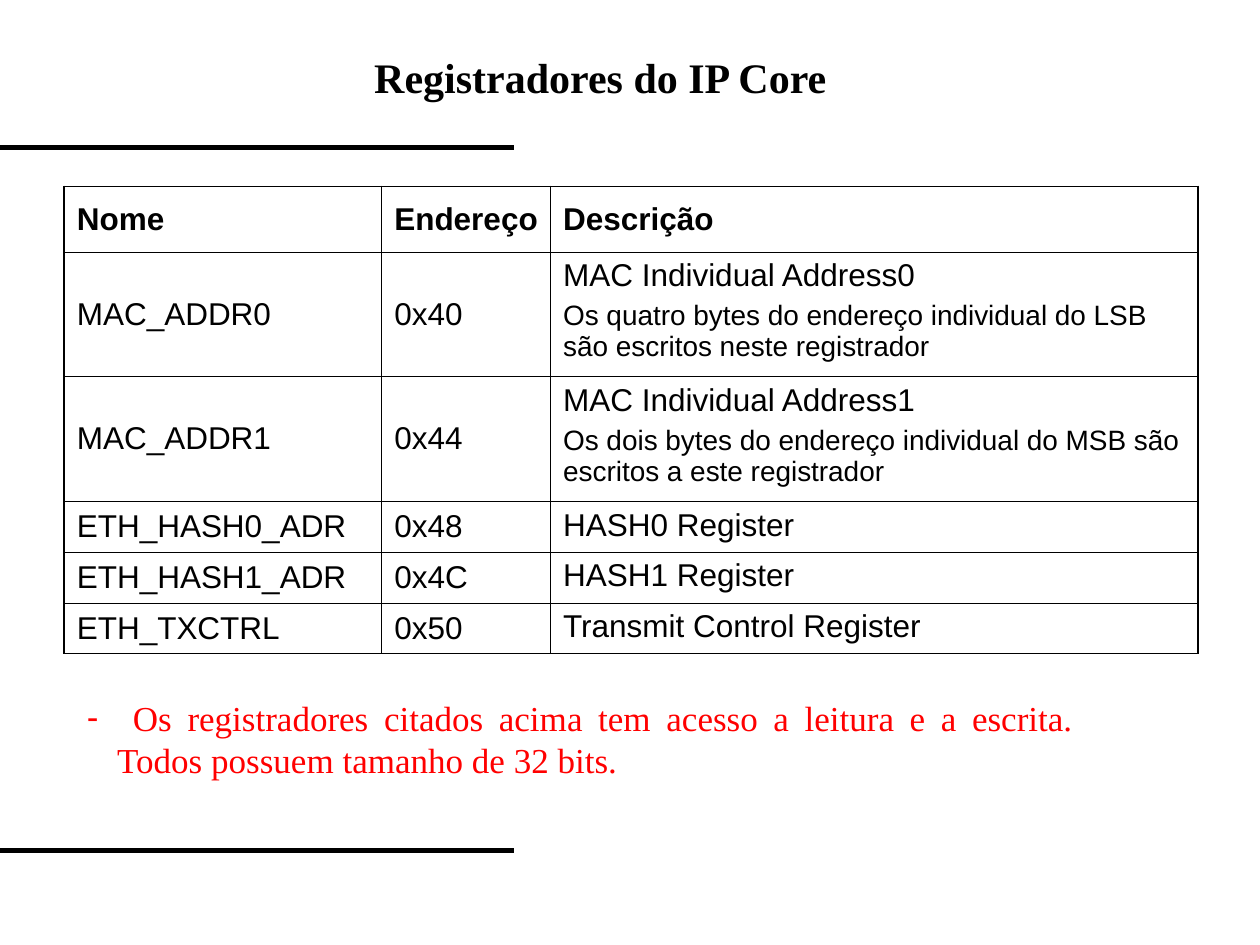
from dataclasses import dataclass

from lxml import etree
from pptx import Presentation
from pptx.dml.color import RGBColor
from pptx.enum.shapes import MSO_CONNECTOR
from pptx.enum.text import MSO_ANCHOR, MSO_AUTO_SIZE, PP_ALIGN
from pptx.oxml.ns import qn
from pptx.util import Inches, Pt

STRAIGHT = MSO_CONNECTOR.STRAIGHT
TOP, MIDDLE = MSO_ANCHOR.TOP, MSO_ANCHOR.MIDDLE
NO_AUTOFIT = MSO_AUTO_SIZE.NONE
LEFT, JUSTIFY = PP_ALIGN.LEFT, PP_ALIGN.JUSTIFY

# Grid of 100 columns by 75 rows
COLS, ROWS = 100, 75
SLIDE_W, SLIDE_H = Inches(10), Inches(7.5)


@dataclass(frozen=True)
class Theme:
    ink: str = "000000"
    accent: str = "FF0000"
    serif: str = "Times New Roman"
    sans: str = "Arial"
    title: float = 24
    note: float = 20
    cell: float = 18
    detail: float = 16
    rule: float = 3
    outer: float = 1.08
    inner: float = 0.45


THEME = Theme()

HEADER = ("Nome", "Endereço", "Descrição")
REGISTERS = [
    ("MAC_ADDR0", "0x40", "MAC Individual Address0",
     "Os quatro bytes do endereço individual do LSB são escritos neste registrador"),
    ("MAC_ADDR1", "0x44", "MAC Individual Address1",
     "Os dois bytes do endereço individual do MSB são escritos a este registrador"),
    ("ETH_HASH0_ADR", "0x48", "HASH0 Register"),
    ("ETH_HASH1_ADR", "0x4C", "HASH1 Register"),
    ("ETH_TXCTRL", "0x50", "Transmit Control Register"),
]
NOTE = (" Os registradores citados acima tem acesso a leitura e a escrita. "
        "Todos possuem tamanho de 32 bits.")


def gx(cols):
    return round(SLIDE_W * cols / COLS)


def gy(rows):
    return round(SLIDE_H * rows / ROWS)


def add_run(p, text, size, font, color, bold=False):
    r = p.add_run()
    r.text = text
    r.font.size, r.font.name, r.font.bold = Pt(size), font, bold
    r.font.color.rgb = RGBColor.from_string(color)


def place_placeholder(sp, box, align):
    """Move a placeholder to its box and return its first paragraph."""
    x, y, w, h = box
    sp.left, sp.top, sp.width, sp.height = gx(x), gy(y), gx(w), gy(h)
    tf = sp.text_frame
    tf.word_wrap, tf.auto_size, tf.vertical_anchor = True, NO_AUTOFIT, TOP
    p = tf.paragraphs[0]
    p.alignment, p.space_before = align, Pt(0)
    return p


def add_rule(slide, x, y, w):
    line = slide.shapes.add_connector(STRAIGHT, gx(x), gy(y), gx(x + w), gy(y))
    line.line.color.rgb = RGBColor.from_string(THEME.ink)
    line.line.width = Pt(THEME.rule)
    etree.SubElement(line._element.spPr, qn("a:effectLst"))


def add_title(slide, box):
    p = place_placeholder(slide.shapes.title, box, LEFT)
    add_run(p, "Registradores do IP Core", THEME.title, THEME.serif, THEME.ink, True)


def add_note(slide, box):
    p = place_placeholder(slide.placeholders[1], box, JUSTIFY)
    # Red dash with a hanging indent
    pPr = p._p.get_or_add_pPr()
    indent = gx(2.4)
    pPr.set("marL", str(indent))
    pPr.set("indent", str(-indent))
    color = etree.SubElement(pPr, qn("a:buClr"))
    etree.SubElement(color, qn("a:srgbClr"), val=THEME.accent)
    etree.SubElement(pPr, qn("a:buChar"), char="-")
    add_run(p, NOTE, THEME.note, THEME.serif, THEME.accent)


def set_borders(cell, outer_sides):
    tcPr = cell._tc.get_or_add_tcPr()
    for side in "LRTB":
        width = THEME.outer if side in outer_sides else THEME.inner
        ln = etree.SubElement(tcPr, qn("a:ln" + side), w=str(Pt(width)))
        fill = etree.SubElement(ln, qn("a:solidFill"))
        etree.SubElement(fill, qn("a:srgbClr"), val=THEME.ink)


def fill_cell(cell, lines, bold, anchor):
    cell.fill.background()
    cell.vertical_anchor = anchor
    tf = cell.text_frame
    for i, text in enumerate(lines):
        p = tf.add_paragraph() if i else tf.paragraphs[0]
        if i:
            p.space_before = Pt(4)
        add_run(p, text, THEME.detail if i else THEME.cell, THEME.sans, THEME.ink, bold)


def add_register_table(slide, box, widths, heights):
    x, y, w, h = box
    rows = [HEADER] + REGISTERS
    last_row, last_col = len(rows) - 1, len(widths) - 1
    table = slide.shapes.add_table(len(rows), len(widths),
                                   gx(x), gy(y), gx(w), gy(h)).table
    table.first_row = table.horz_banding = False
    for col, width in zip(table.columns, widths):
        col.width = gx(width)
    for i, (name, address, *description) in enumerate(rows):
        table.rows[i].height = gy(heights[i])
        for j, lines in enumerate(([name], [address], description)):
            cell = table.cell(i, j)
            edges = {"T": i == 0, "B": i == last_row, "L": j == 0, "R": j == last_col}
            set_borders(cell, [side for side, outer in edges.items() if outer])
            anchor = TOP if i and j == last_col else MIDDLE
            fill_cell(cell, lines, i == 0, anchor)


def main():
    prs = Presentation()
    prs.slide_width, prs.slide_height = SLIDE_W, SLIDE_H
    slide = prs.slides.add_slide(prs.slide_layouts[1])

    # Rules above and below the content
    for y in (11.7, 67.5):
        add_rule(slide, 0, y, 40.8)

    add_title(slide, (28.7, 3.6, 42.5, 5))
    add_register_table(slide, (5.1, 14.8, 90, 37.1), (25.2, 13.4, 51.4),
                       [5.2] + [9.9] * 2 + [4.03] * 3)
    add_note(slide, (5.9, 54.8, 80.3, 7.7))
    prs.save("out.pptx")


if __name__ == "__main__":
    main()
